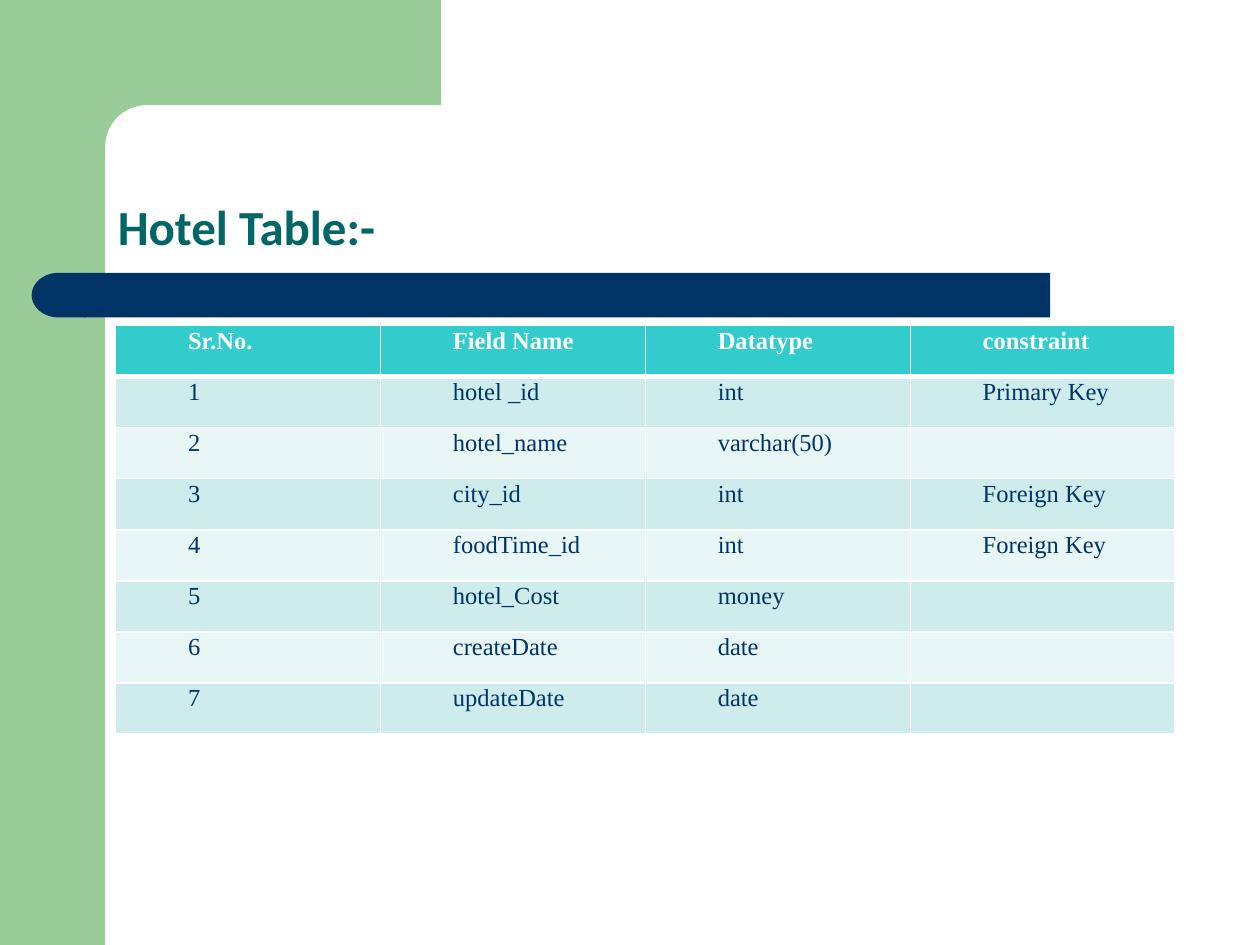
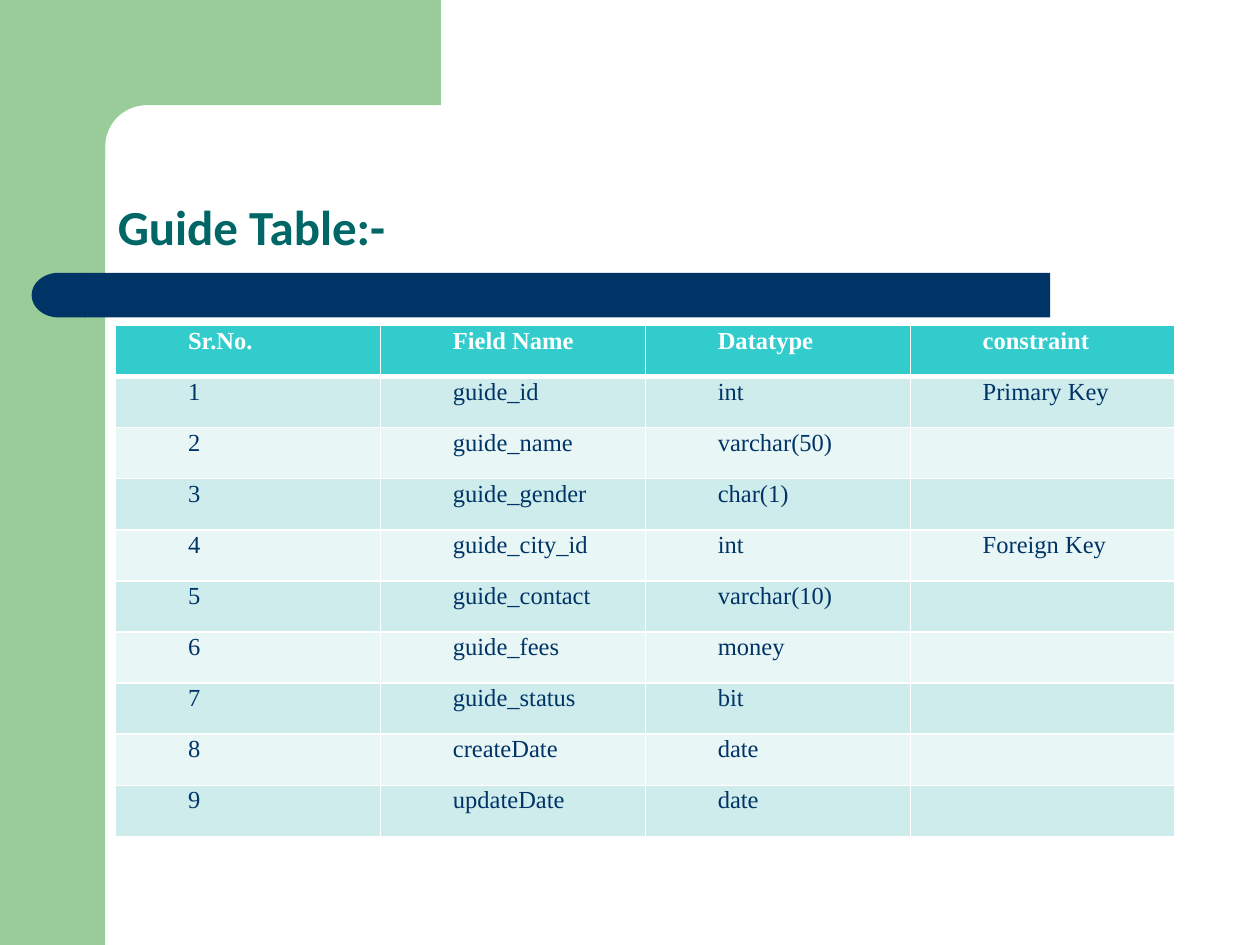
import math
from dataclasses import dataclass

import pptx
import pptx.dml.color
import pptx.enum.shapes
import pptx.enum.text
import pptx.oxml
import pptx.oxml.ns
import pptx.util

Cm = pptx.util.Cm
Pt = pptx.util.Pt
RGB = pptx.dml.color.RGBColor.from_string
MSO = pptx.enum.shapes.MSO_SHAPE


@dataclass(frozen=True)
class Theme:
    green: str = "99CC99"
    navy: str = "003366"
    title: str = "006666"
    header: str = "33CCCC"
    odd_row: str = "CEECEC"
    even_row: str = "E8F6F6"
    white: str = "FFFFFF"
    title_font: str = "Calibri"
    table_font: str = "Times New Roman"
    title_size: int = 28
    table_size: int = 14


theme = Theme()


def paint(sp, color):
    sp.shadow.inherit = False
    sp.fill.solid()
    sp.fill.fore_color.rgb = RGB(color)
    sp.line.fill.background()


def add_border(cell, side, width):
    ln = pptx.oxml.parse_xml(
        f'<a:{side} {pptx.oxml.ns.nsdecls("a")} w="{Pt(width)}">'
        f'<a:solidFill><a:srgbClr val="{theme.white}"/></a:solidFill></a:{side}>'
    )
    cell._tc.get_or_add_tcPr().append(ln)


columns = ["Sr.No.", "Field Name", "Datatype", "constraint"]
tables = {
    "Hotel Table:-": [
        ("hotel _id", "int", "Primary Key"),
        ("hotel_name", "varchar(50)", ""),
        ("city_id", "int", "Foreign Key"),
        ("foodTime_id", "int", "Foreign Key"),
        ("hotel_Cost", "money", ""),
        ("createDate", "date", ""),
        ("updateDate", "date", ""),
    ],
    "Guide Table:-": [
        ("guide_id", "int", "Primary Key"),
        ("guide_name", "varchar(50)", ""),
        ("guide_gender", "char(1)", ""),
        ("guide_city_id", "int", "Foreign Key"),
        ("guide_contact", "varchar(10)", ""),
        ("guide_fees", "money", ""),
        ("guide_status", "bit", ""),
        ("createDate", "date", ""),
        ("updateDate", "date", ""),
    ],
}

bands = [
    (MSO.RECTANGLE, 0, 0, 2.12, 19.05, theme.green),
    (MSO.RECTANGLE, 1.7, 5.5, 19.47, 0.9, theme.navy),
    (MSO.FLOWCHART_DELAY, 0.64, 5.5, 1.09, 0.9, theme.navy),
]

edge, radius = 2.12, 0.84
center = edge + radius
arc = [
    (center - radius * math.sin(math.radians(a)), center - radius * math.cos(math.radians(a)))
    for a in range(0, 91, 6)
]
corner = [(8.89, edge), *arc, (edge, 3.25), (1.27, 3.25), (1.27, 0)]

col_width, row_height = 5.34, 1.03

prs = pptx.Presentation()
prs.slide_width = Cm(25.4)
prs.slide_height = Cm(19.05)

for title, fields in tables.items():
    s = prs.slides.add_slide(prs.slide_layouts[5])
    s.background.fill.solid()
    s.background.fill.fore_color.rgb = RGB(theme.white)

    for kind, left, top, width, height, color in bands:
        sp = s.shapes.add_shape(kind, Cm(left), Cm(top), Cm(width), Cm(height))
        paint(sp, color)
        if kind == MSO.FLOWCHART_DELAY:
            sp._element.spPr.find(pptx.oxml.ns.qn("a:xfrm")).set("flipH", "1")

    fb = s.shapes.build_freeform(Cm(8.89), 0)
    fb.add_line_segments([(Cm(x), Cm(y)) for x, y in corner], close=True)
    paint(fb.convert_to_shape(), theme.green)

    sp = s.shapes.title
    sp.left, sp.top, sp.width, sp.height = Cm(2.12), Cm(2.12), Cm(22.01), Cm(3.18)
    tf = sp.text_frame
    tf.text = title
    tf.vertical_anchor = pptx.enum.text.MSO_ANCHOR.BOTTOM
    p = tf.paragraphs[0]
    p.alignment = pptx.enum.text.PP_ALIGN.LEFT
    p.line_spacing = 0.9
    r = p.runs[0]
    r.font.name = theme.title_font
    r.font.size = Pt(theme.title_size)
    r.font.bold = True
    r.font.color.rgb = RGB(theme.title)

    rows = [columns] + [(str(n), *field) for n, field in enumerate(fields, 1)]
    tbl = s.shapes.add_table(
        len(rows), len(columns), Cm(2.33), Cm(6.56),
        Cm(col_width * len(columns)), Cm(row_height * len(rows)),
    ).table
    tbl.horz_banding = False
    for col in tbl.columns:
        col.width = Cm(col_width)
    for i, row in enumerate(rows):
        tbl.rows[i].height = Cm(row_height)
        for j, text in enumerate(row):
            cell = tbl.cell(i, j)
            cell.margin_left = cell.margin_right = Cm(0.19)
            cell.margin_top = cell.margin_bottom = 0
            for side in ("lnL", "lnR", "lnT", "lnB"):
                thick = (i, side) in ((0, "lnB"), (1, "lnT"))
                add_border(cell, side, 3 if thick else 1)
            cell.fill.solid()
            if i == 0:
                cell.fill.fore_color.rgb = RGB(theme.header)
            else:
                cell.fill.fore_color.rgb = RGB(theme.odd_row if i % 2 else theme.even_row)
            if not text:
                continue
            cell.text_frame.text = text
            p = cell.text_frame.paragraphs[0]
            p.alignment = pptx.enum.text.PP_ALIGN.JUSTIFY
            p.line_spacing = 1.07
            p._p.get_or_add_pPr().set("marL", str(Cm(1.27)))
            r = p.runs[0]
            r.font.name = theme.table_font
            r.font.size = Pt(theme.table_size)
            r.font.bold = i == 0
            r.font.color.rgb = RGB(theme.white if i == 0 else theme.navy)

prs.save("out.pptx")
